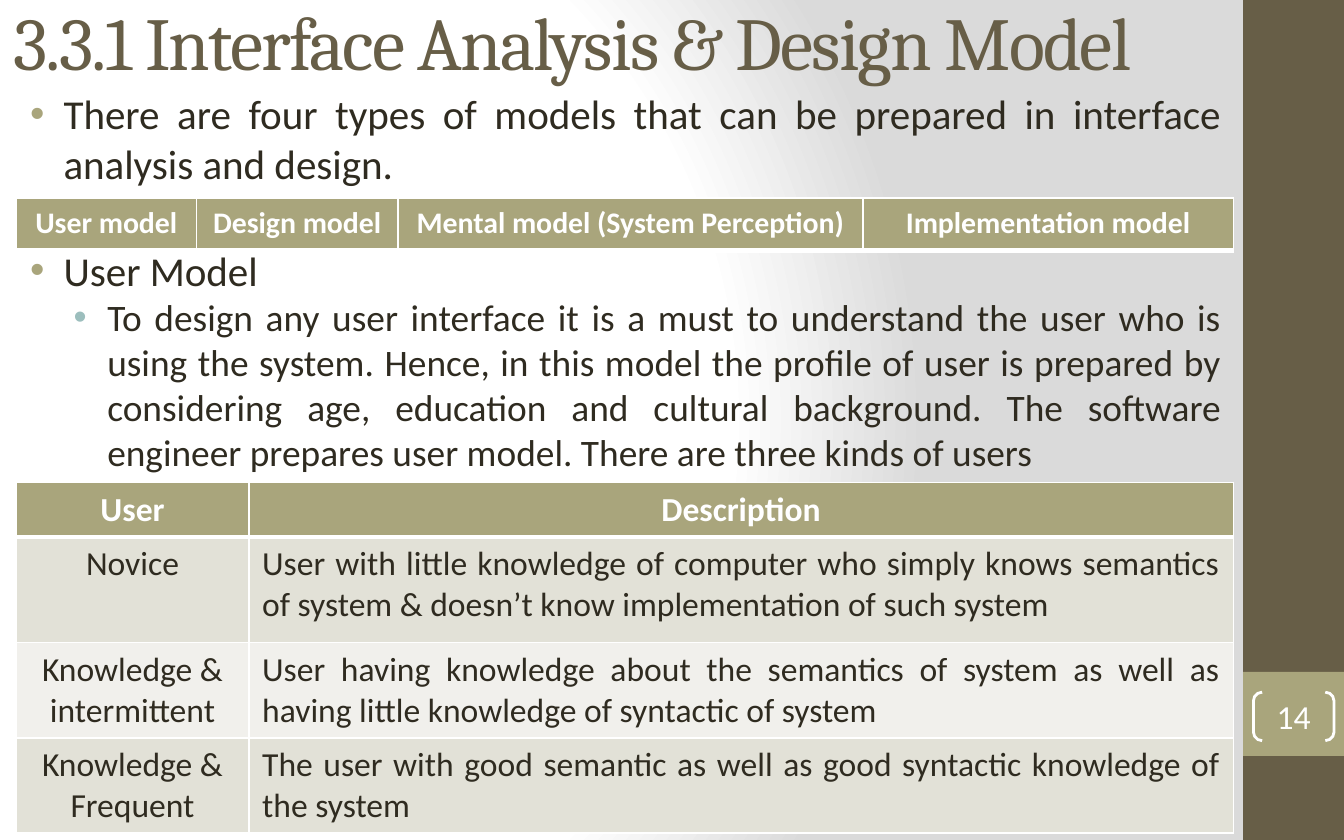
"""Build the slide on interface analysis and design models."""
from dataclasses import dataclass
from lxml.etree import SubElement
from pptx import Presentation
from pptx.dml.color import RGBColor
from pptx.enum.shapes import MSO_SHAPE
from pptx.enum.text import MSO_ANCHOR, PP_ALIGN
from pptx.oxml import parse_xml
from pptx.oxml.ns import nsdecls, qn
from pptx.util import Pt


@dataclass(frozen=True)
class Theme:
    brown: str = "675E47"
    olive: str = "A9A57C"
    teal: str = "9CBEBD"
    ink: str = "2F2B20"
    white: str = "FFFFFF"
    grey: str = "DADADA"
    dark: str = "E2E1D7"
    pale: str = "F1F0EC"
    head: str = "Cambria"
    body: str = "Calibri"
    title: int = 40
    lead: int = 22
    sub: int = 20
    cell: int = 18
    small: int = 16


look = Theme()


def write(par, text, size, color, align, bold=False, face=look.body):
    """Add one styled run to a paragraph."""
    par.alignment = align
    run = par.add_run()
    run.text = text
    run.font.name = face
    run.font.size = Pt(size)
    run.font.bold = bold
    run.font.color.rgb = RGBColor.from_string(color)
    return run


def grid(slide, top, cols, rows, data, size):
    """Add a table with a header row, banded rows and white borders."""
    frame = slide.shapes.add_table(len(rows), len(cols), Pt(8.75), Pt(top), Pt(sum(cols)), Pt(sum(rows)))
    table = frame.table
    for col, width in zip(table.columns, cols):
        col.width = Pt(width)
    for r, (tall, texts) in enumerate(zip(rows, data)):
        table.rows[r].height = Pt(tall)
        band = look.olive if r == 0 else look.dark if r % 2 else look.pale
        edges = {"L": 1, "R": 1, "T": 3 if r == 1 else 1, "B": 3 if r == 0 else 1}
        for c, text in enumerate(texts):
            cell = table.cell(r, c)
            props = cell._tc.get_or_add_tcPr()
            for side, width in edges.items():
                line = SubElement(props, qn(f"a:ln{side}"), w=str(Pt(width)))
                SubElement(SubElement(line, qn("a:solidFill")), qn("a:srgbClr"), val=look.white)
            cell.fill.solid()
            cell.fill.fore_color.rgb = RGBColor.from_string(band)
            align = PP_ALIGN.JUSTIFY if r and c else PP_ALIGN.CENTER
            color = look.ink if r else look.white
            write(cell.text_frame.paragraphs[0], text, size, color, align, r == 0)


deck = Presentation()
deck.slide_width, deck.slide_height = Pt(720), Pt(450)
slide = deck.slides.add_slide(deck.slide_layouts[6])
shapes = slide.shapes

stops = "".join(
    f'<a:gs pos="{pos}"><a:srgbClr val="{color}"/></a:gs>'
    for pos, color in ((0, look.white), (75000, look.white), (100000, look.grey))
)
slide._element.cSld.insert(0, parse_xml(
    f'<p:bg {nsdecls("p", "a")}><p:bgPr><a:gradFill rotWithShape="1"><a:gsLst>{stops}</a:gsLst>'
    '<a:path path="circle"><a:fillToRect l="20000" t="50000" r="100000" b="50000"/></a:path>'
    '</a:gradFill><a:effectLst/></p:bgPr></p:bg>'
))

for top, tall, color in ((0, 450, look.brown), (360, 45, look.olive)):
    bar = shapes.add_shape(MSO_SHAPE.RECTANGLE, Pt(666), Pt(top), Pt(54), Pt(tall))
    bar.shadow.inherit = False
    bar.fill.solid()
    bar.fill.fore_color.rgb = RGBColor.from_string(color)
    bar.line.fill.background()

title = shapes.add_textbox(0, 0, Pt(666), Pt(44)).text_frame
title.word_wrap = True
title.vertical_anchor = MSO_ANCHOR.MIDDLE
run = write(title.paragraphs[0], "3.3.1 Interface Analysis & Design Model",
            look.title, look.brown, PP_ALIGN.LEFT, face=look.head)
run.font._element.set("spc", "-100")

body = shapes.add_textbox(0, Pt(44), Pt(661.5), Pt(391)).text_frame
body.word_wrap = True
points = (
    ("There are four types of models that can be prepared in interface analysis and design.",
     look.lead, look.olive, 27, 4.4),
    ("User Model", look.lead, look.olive, 27, 31),
    ("To design any user interface it is a must to understand the user who is using the system. "
     "Hence, in this model the profile of user is prepared by considering age, education and "
     "cultural background. The software engineer prepares user model. There are three kinds of users",
     look.sub, look.teal, 50.4, 0),
)
for i, (text, size, dot, left, gap) in enumerate(points):
    par = body.add_paragraph() if i else body.paragraphs[0]
    par.space_before = Pt(gap)
    write(par, text, size, look.ink, PP_ALIGN.JUSTIFY)
    props = par._p.get_or_add_pPr()
    props.set("marL", str(Pt(left)))
    props.set("indent", str(Pt(-18)))
    SubElement(SubElement(props, qn("a:buClr")), qn("a:srgbClr"), val=dot)
    SubElement(props, qn("a:buFont"), typeface="Arial")
    SubElement(props, qn("a:buChar"), char="•")

badge = shapes.add_shape(MSO_SHAPE.DOUBLE_BRACKET, Pt(671.5), Pt(370.8), Pt(43.2), Pt(26))
badge.adjustments[0] = 0.18
badge.shadow.inherit = False
badge.fill.background()
badge.line.color.rgb = RGBColor.from_string(look.white)
badge.line.width = Pt(1.5)
label = badge.text_frame
label.margin_left = label.margin_right = label.margin_top = label.margin_bottom = 0
label.vertical_anchor = MSO_ANCHOR.MIDDLE
write(label.paragraphs[0], "14", look.cell, look.white, PP_ALIGN.CENTER)

models = (("User model", "Design model", "Mental model (System Perception)", "Implementation model"),)
grid(slide, 106, (96.5, 108, 249, 198.5), (28,), models, look.small)

users = (
    ("User", "Description"),
    ("Novice", "User with little knowledge of computer who simply knows semantics of system "
               "& doesn’t know implementation of such system"),
    ("Knowledge & intermittent", "User having knowledge about the semantics of system as well as "
                                 "having little knowledge of syntactic of system"),
    ("Knowledge & Frequent", "The user with good semantic as well as good syntactic knowledge "
                             "of the system"),
)
grid(slide, 258.5, (124.5, 527.5), (29.2, 56.6, 51, 51), users, look.cell)

deck.save("out.pptx")
